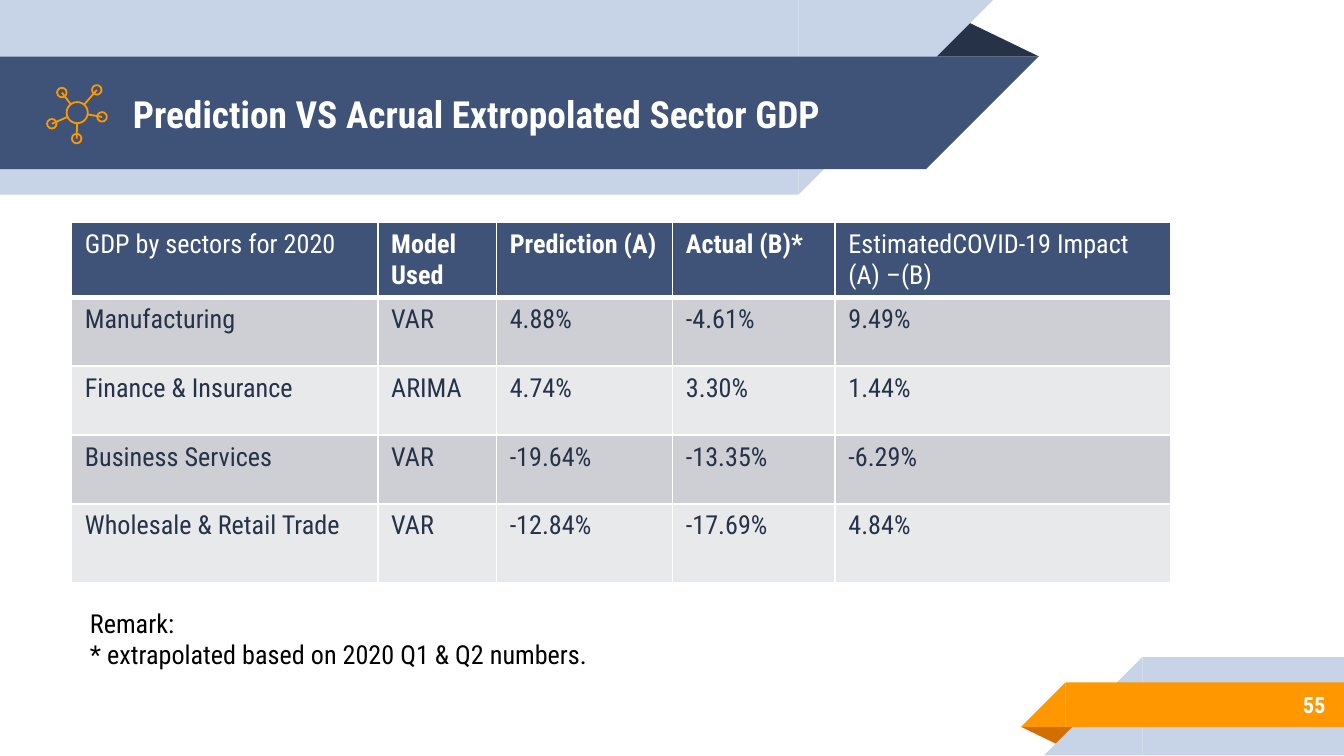
import math
import pptx
import pptx.dml.color
import pptx.enum.shapes
import pptx.enum.text
import pptx.oxml
import pptx.oxml.ns
import pptx.util

Cm = pptx.util.Cm
Pt = pptx.util.Pt
Kind = pptx.enum.shapes.MSO_SHAPE
Align = pptx.enum.text.PP_ALIGN
Anchor = pptx.enum.text.MSO_ANCHOR

FONT = "Roboto Condensed"
HUES = {
    "navy": "3F5378", "ink": "263248", "pale": "C7D3E6", "orange": "FF9800",
    "rust": "D26F00", "white": "FFFFFF", "black": "000000",
    "dim": "CDCFD5", "light": "E8E9EB",
}
WIDTHS = [5.79, 2.24, 3.33, 3.07, 6.35]
HEIGHTS = [1.41, 1.3, 1.3, 1.3, 1.5]
ROWS = [
    ["GDP by sectors for 2020", "Model\nUsed", "Prediction (A)", "Actual (B)*",
     "EstimatedCOVID-19 Impact (A) –(B)"],
    ["Manufacturing", "VAR", "4.88%", "-4.61%", "9.49%"],
    ["Finance & Insurance", "ARIMA", "4.74%", "3.30%", "1.44%"],
    ["Business Services", "VAR", "-19.64%", "-13.35%", "-6.29%"],
    ["Wholesale & Retail Trade", "VAR", "-12.84%", "-17.69%", "4.84%"],
]
NODES = [(0.94, 0.1), (0.28, 0.15), (0.09, 0.74), (0.56, 1.02), (1.04, 0.61)]


def hue(name):
    """Return the named colour."""
    return pptx.dml.color.RGBColor.from_string(HUES[name])


def write(frame, words, size=14, color="black", bold=False, align=Align.LEFT):
    """Write one paragraph for each line of words."""
    frame.word_wrap = True
    for i, line in enumerate(words.split("\n")):
        para = frame.paragraphs[0] if i == 0 else frame.add_paragraph()
        para.alignment = align
        run = para.add_run()
        run.text = line
        run.font.name = FONT
        run.font.size = Pt(size)
        run.font.bold = bold
        run.font.color.rgb = hue(color)


def inset(frame, side, edge, anchor):
    """Set the margins and anchor of a text frame."""
    frame.margin_left = frame.margin_right = Cm(side)
    frame.margin_top = frame.margin_bottom = Cm(edge)
    frame.vertical_anchor = anchor
    frame.auto_size = pptx.enum.text.MSO_AUTO_SIZE.NONE


def label(slide, box, words, edge=0.13, anchor=Anchor.TOP, **form):
    """Add a text box."""
    frame = slide.shapes.add_textbox(*map(Cm, box)).text_frame
    inset(frame, 0.25, edge, anchor)
    write(frame, words, **form)


def solid(slide, kind, box, color, turn=0, flip=False):
    """Add a filled shape without an outline."""
    shape = slide.shapes.add_shape(kind, *map(Cm, box))
    shape.shadow.inherit = False
    shape.fill.solid()
    shape.fill.fore_color.rgb = hue(color)
    shape.line.fill.background()
    shape.rotation = turn
    if flip:
        shape._element.spPr.find(pptx.oxml.ns.qn("a:xfrm")).set("flipH", "1")
    return shape


def band(slide, box, color, top):
    """Add a bar with a slanted end, on the right at the top and else on the left."""
    x, y, w, h = box
    turn = 180 if top else 0
    solid(slide, Kind.RECTANGLE, box, color)
    end = (x + w if top else x - h, y, h, h)
    solid(slide, Kind.RIGHT_TRIANGLE, end, color, turn, flip=True)


def fold(slide, box, color, turn=0):
    """Add the dark folded corner of a ribbon."""
    shape = solid(slide, Kind.ISOSCELES_TRIANGLE, box, color, turn)
    shape.adjustments[0] = 0.32


def header(slide, x, y):
    """Draw the top ribbon and set the title on it."""
    fold(slide, (x + 17.48, y + 0.36, 2.16, 0.71), "ink")
    band(slide, (x, y, 15.09, 3.68), "pale", True)
    band(slide, (x, y + 1.07, 17.5, 2.13), "navy", True)
    title = slide.shapes.title
    slide.shapes._spTree.append(title._element)
    title.left, title.top = Cm(x + 2.26), Cm(y + 1.09)
    title.width, title.height = Cm(14.6), Cm(2.13)
    inset(title.text_frame, 0.25, 0.25, Anchor.MIDDLE)
    write(title.text_frame, "Prediction VS Acrual Extropolated Sector GDP",
          size=20, color="white", bold=True)


def footer(slide, x, y):
    """Draw the bottom ribbon with the page number."""
    fold(slide, (x, y + 1.32, 1.09, 0.36), "rust", 180)
    band(slide, (x + 2.29, y, 3.81, 1.86), "pale", False)
    band(slide, (x + 0.84, y + 0.48, 5.26, 0.84), "orange", False)
    label(slide, (x + 1.86, y + 0.46, 4.14, 0.89), "55", edge=0.25,
          anchor=Anchor.MIDDLE, size=12, color="white", bold=True,
          align=Align.RIGHT)


def ring(slide, x, y, r):
    """Add a hollow circle around a point."""
    shape = slide.shapes.add_shape(
        Kind.OVAL, Cm(x - r), Cm(y - r), Cm(2 * r), Cm(2 * r))
    shape.shadow.inherit = False
    shape.fill.background()
    shape.line.color.rgb = hue("orange")
    shape.line.width = Pt(0.96)


def icon(slide, x, y, r=0.2):
    """Draw a hub joined to its nodes."""
    hx, hy = x + 0.57, y + 0.53
    ring(slide, hx, hy, r)
    for dx, dy in NODES:
        nx, ny = x + dx, y + dy
        ring(slide, nx, ny, 0.09)
        part = r / math.hypot(nx - hx, ny - hy)
        ends = (nx, ny, hx + part * (nx - hx), hy + part * (ny - hy))
        line = slide.shapes.add_connector(
            pptx.enum.shapes.MSO_CONNECTOR.STRAIGHT, *map(Cm, ends))
        line.line.color.rgb = hue("orange")
        line.line.width = Pt(0.96)
        line._element.spPr.append(pptx.oxml.parse_xml(
            "<a:effectLst %s/>" % pptx.oxml.ns.nsdecls("a")))


def edges(cell, **sizes):
    """Set white borders, in points, on the sides L, R, T and B."""
    for side, size in sizes.items():
        cell._tc.get_or_add_tcPr().append(pptx.oxml.parse_xml(
            '<a:ln%s %s w="%d"><a:solidFill><a:srgbClr val="%s"/></a:solidFill></a:ln%s>'
            % (side, pptx.oxml.ns.nsdecls("a"), Pt(size), HUES["white"], side)))


def grid(slide, x, y):
    """Add the table of sectors."""
    box = (x, y, sum(WIDTHS), sum(HEIGHTS))
    table = slide.shapes.add_table(
        len(ROWS), len(WIDTHS), *map(Cm, box)).table
    table.horz_banding = False
    for col, width in zip(table.columns, WIDTHS):
        col.width = Cm(width)
    for i, row in enumerate(ROWS):
        table.rows[i].height = Cm(HEIGHTS[i])
        fill = "navy" if i == 0 else ("light", "dim")[i % 2]
        for j, words in enumerate(row):
            cell = table.cell(i, j)
            edges(cell, L=1, R=1, T=3 if i == 1 else 1, B=3 if i == 0 else 1)
            cell.fill.solid()
            cell.fill.fore_color.rgb = hue(fill)
            write(cell.text_frame, words, color="ink" if i else "white",
                  bold=i == 0 and 0 < j < len(row) - 1)


def main():
    """Build and save the slide."""
    deck = pptx.Presentation()
    deck.slide_width, deck.slide_height = Cm(25.4), Cm(14.29)
    slide = deck.slides.add_slide(deck.slide_layouts[5])
    header(slide, 0, 0)
    footer(slide, 19.3, 12.42)
    icon(slide, 0.89, 1.6)
    grid(slide, 1.35, 4.2)
    label(slide, (1.45, 11.35, 17, 2.13),
          "Remark:\n* extrapolated based on 2020 Q1 & Q2 numbers.")
    deck.save("out.pptx")


if __name__ == "__main__":
    main()
